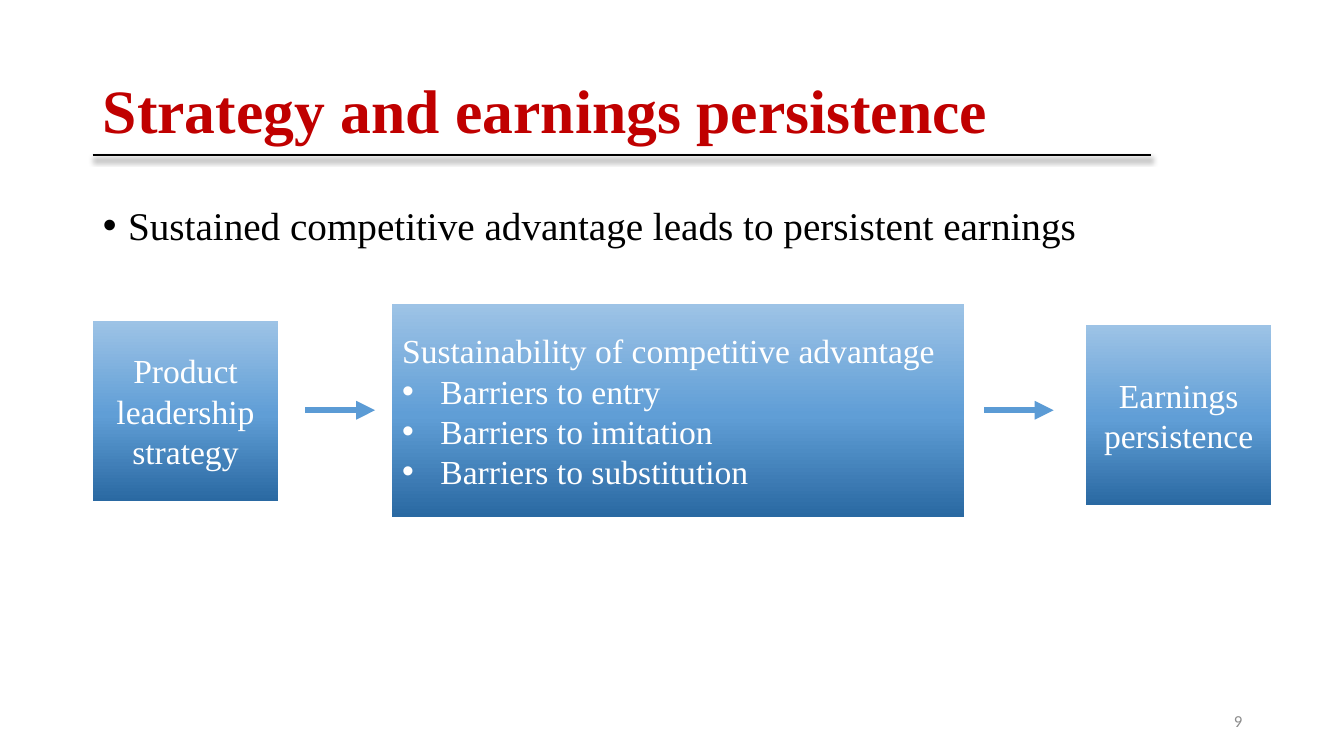
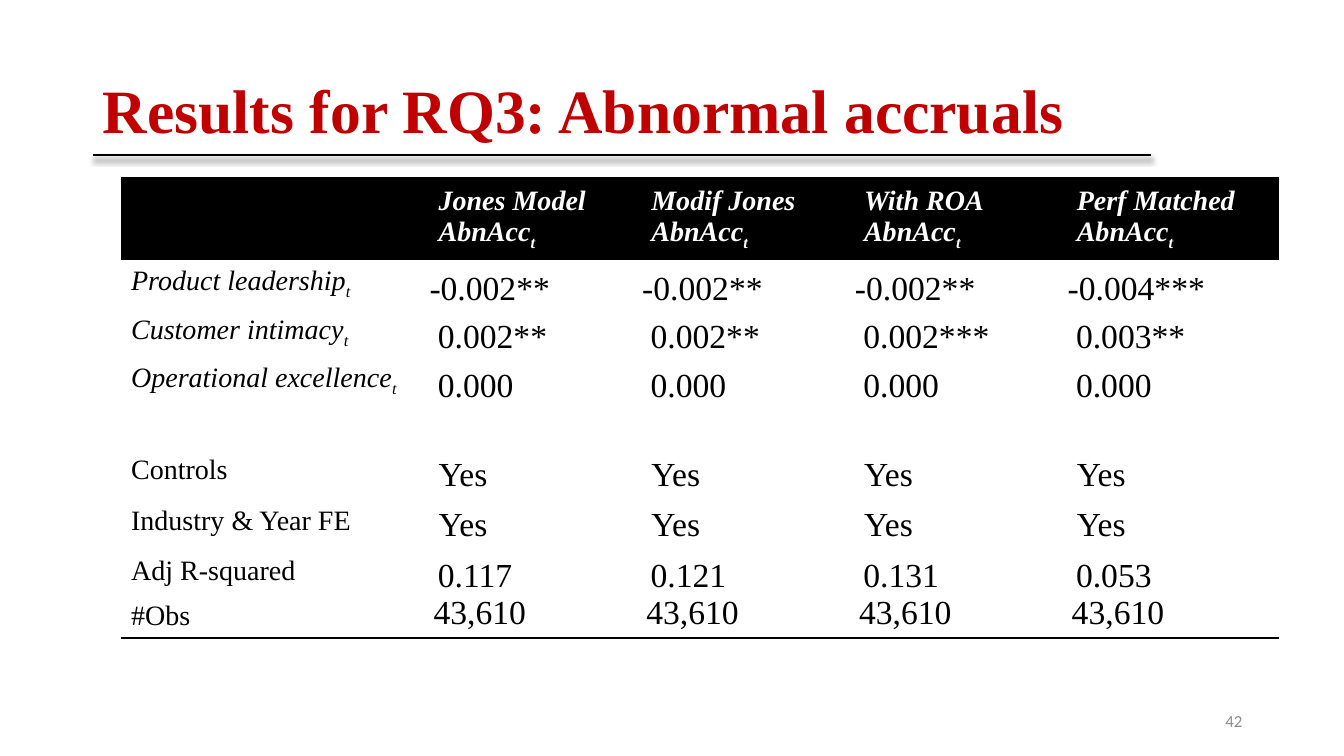
"""Build two slides on strategy and earnings persistence."""
from dataclasses import dataclass

from pptx import Presentation
from pptx.dml.color import RGBColor
from pptx.enum.dml import MSO_LINE
from pptx.enum.shapes import MSO_CONNECTOR, MSO_SHAPE
from pptx.enum.text import MSO_ANCHOR, MSO_AUTO_SIZE, PP_ALIGN
from pptx.oxml.ns import qn
from pptx.oxml.xmlchemy import OxmlElement
from pptx.util import Inches, Pt

BLACK = RGBColor(0x00, 0x00, 0x00)
WHITE = RGBColor(0xFF, 0xFF, 0xFF)
RED = RGBColor(0xC0, 0x00, 0x00)
GRAY = RGBColor(0x8C, 0x8C, 0x8C)
BLUE = RGBColor(0x5B, 0x9B, 0xD5)
STOPS = (
    (0, RGBColor(0x2A, 0x69, 0xA2)),
    (48, RGBColor(0x60, 0x9E, 0xD6)),
    (100, RGBColor(0x9D, 0xC3, 0xE6)),
)
SERIF = "Times New Roman"
SANS = "Calibri"
NO_GRID = "{2D5ABB26-0587-4C30-8999-92F81FD0307C}"

LEFT, MID, RIGHT = PP_ALIGN.LEFT, PP_ALIGN.CENTER, PP_ALIGN.RIGHT
TOP, CENTER, BASE = MSO_ANCHOR.TOP, MSO_ANCHOR.MIDDLE, MSO_ANCHOR.BOTTOM
SOLID = MSO_LINE.SOLID
NO_FIT = MSO_AUTO_SIZE.NONE
RECT = MSO_SHAPE.RECTANGLE
STRAIGHT = MSO_CONNECTOR.STRAIGHT

TITLE_LAY, BODY_LAY = 5, 1
EDGE = Inches(0.92)
WIDE = Inches(11.5)
FLOW_Y = Inches(4.07)
LABEL_W, DATA_W = Inches(3.05), Inches(2.11)
PAD = (0.1, 0.05, 0.1, 0.05)
THIN = (0.01, 0.01, 0.01, 0)
FLAT = (0.05, 0, 0.05, 0)


@dataclass(frozen=True)
class Face:
    """Look of a run of text."""
    size: float
    color: RGBColor = BLACK
    bold: bool = False
    slant: bool = False
    name: str = SERIF


@dataclass(frozen=True)
class Box:
    """Blue box: place, heading and bullet points."""
    left: float
    top: float
    width: float
    height: float
    head: str
    points: tuple[str, ...] = ()


@dataclass(frozen=True)
class Row:
    """Table row: height, label, values and their layout."""
    height: float
    label: str = ""
    values: tuple[str, ...] = ("",) * 4
    slant: bool = False
    side: MSO_ANCHOR = CENTER
    anchor: MSO_ANCHOR = CENTER
    pad: tuple[float, ...] = PAD


HEAD = Face(44, RED, bold=True)
BODY = Face(28)
BOXED = Face(24, WHITE)
PAGE = Face(12, GRAY, name=SANS)
TOP_ROW = Face(20, WHITE, bold=True, slant=True)
VALUE = Face(24)

BOXES = (
    Box(0.92, 3.18, 1.84, 1.79, "Product leadership strategy"),
    Box(3.89, 3.02, 5.67, 2.11, "Sustainability of competitive advantage",
        ("Barriers to entry", "Barriers to imitation", "Barriers to substitution")),
    Box(10.77, 3.22, 1.84, 1.79, "Earnings persistence"),
)
ARROWS = (3.03, 9.76)
ARROW_W = 0.69

ROWS = (
    Row(0.77, "", ("Jones Model\nAbnAcc_t", "Modif Jones AbnAcc_t",
                   "With ROA AbnAcc_t", "Perf Matched AbnAcc_t")),
    Row(0.46, "Product leadership_t", ("-0.002**", "-0.002**", "-0.002**", "-0.004***"),
        True, CENTER, BASE, THIN),
    Row(0.46, "Customer intimacy_t", (" 0.002**", " 0.002**", " 0.002***", " 0.003**"),
        True, CENTER, BASE, THIN),
    Row(0.46, "Operational excellence_t", (" 0.000",) * 4, True, CENTER, BASE, THIN),
    Row(0.45),
    Row(0.47, "Controls", ("Yes",) * 4, side=TOP),
    Row(0.47, "Industry & Year FE", ("Yes",) * 4, side=TOP),
    Row(0.41, "Adj R-squared", (" 0.117", " 0.121", " 0.131", " 0.053"),
        side=TOP, anchor=BASE, pad=THIN),
    Row(0.41, "#Obs", ("43,610",) * 4, anchor=TOP, pad=FLAT),
)


def add_node(parent, tag: str, **attrs: object):
    """Append an XML child with attributes."""
    node = OxmlElement(tag)
    for key, val in attrs.items():
        node.set(key, str(val))
    parent.append(node)
    return node


def add_run(para, text: str, face: Face):
    """Append one formatted run."""
    run = para.add_run()
    run.text = text
    font = run.font
    font.name, font.size, font.bold, font.italic = face.name, Pt(face.size), face.bold, face.slant
    font.color.rgb = face.color
    return run


def add_bullet(para, indent: float) -> None:
    """Give a paragraph a hanging bullet."""
    props = para._p.get_or_add_pPr()
    props.set("marL", str(Inches(indent)))
    props.set("indent", str(-Inches(indent)))
    add_node(props, "a:buFont", typeface="Arial")
    add_node(props, "a:buChar", char="•")


def add_line(slide, left: int, right: int, top: int, color: RGBColor, width: float):
    """Draw a level line and return it with its effect list."""
    line = slide.shapes.add_connector(STRAIGHT, left, top, right, top)
    line.line.color.rgb = color
    line.line.width = Pt(width)
    return line, add_node(line._element.spPr, "a:effectLst")


def set_holder(shape, top: float, height: float, anchor: MSO_ANCHOR):
    """Place a text placeholder and return its first paragraph."""
    shape.left, shape.top, shape.width, shape.height = EDGE, Inches(top), WIDE, Inches(height)
    frame = shape.text_frame
    frame.word_wrap, frame.auto_size, frame.vertical_anchor = True, NO_FIT, anchor
    para = frame.paragraphs[0]
    para.alignment, para.line_spacing = LEFT, 0.9
    return para


def add_slide(deck, layout: int, title: str, page: str):
    """Add a slide with title, rule and page number."""
    slide = deck.slides.add_slide(deck.slide_layouts[layout])
    add_run(set_holder(slide.shapes.title, 0.4, 1.45, CENTER), title, HEAD)
    rule, effects = add_line(slide, EDGE, Inches(11.42), Inches(1.54), BLACK, 1.5)
    shade = add_node(effects, "a:outerShdw", blurRad=Pt(4), dist=Pt(3), dir=5400000, rotWithShape=0)
    add_node(add_node(shade, "a:srgbClr", val=BLACK), "a:alpha", val=40000)
    frame = slide.shapes.add_textbox(Inches(9.42), Inches(6.95), Inches(3), Inches(0.4)).text_frame
    frame.word_wrap, frame.vertical_anchor = True, CENTER
    frame.paragraphs[0].alignment = RIGHT
    add_run(frame.paragraphs[0], page, PAGE)
    return slide


def add_box(slide, box: Box) -> None:
    """Draw a box with a blue gradient."""
    shape = slide.shapes.add_shape(
        RECT, Inches(box.left), Inches(box.top), Inches(box.width), Inches(box.height))
    shape.shadow.inherit = False
    shape.line.fill.background()
    shape.fill.gradient()
    shape.fill.gradient_angle = 90
    stops = shape._element.spPr.find(".//" + qn("a:gsLst"))
    stops.clear()
    for pos, color in STOPS:
        add_node(add_node(stops, "a:gs", pos=pos * 1000), "a:srgbClr", val=color)
    frame = shape.text_frame
    frame.word_wrap, frame.vertical_anchor = True, CENTER
    para = frame.paragraphs[0]
    para.alignment = LEFT if box.points else MID
    add_run(para, box.head, BOXED)
    for point in box.points:
        para = frame.add_paragraph()
        para.alignment = LEFT
        add_bullet(para, 0.38)
        add_run(para, point, BOXED)


def add_arrow(slide, left: float) -> None:
    """Draw an arrow to the right."""
    arrow, _ = add_line(slide, Inches(left), Inches(left + ARROW_W), FLOW_Y, BLUE, 4.5)
    add_node(arrow._element.spPr.find(qn("a:ln")), "a:tailEnd", type="triangle")


def add_edge(cell, tag: str) -> None:
    """Draw one black edge of a cell."""
    edge = add_node(cell._tc.get_or_add_tcPr(), tag, w=Pt(1))
    add_node(add_node(edge, "a:solidFill"), "a:srgbClr", val=BLACK)
    add_node(edge, "a:prstDash", val=SOLID.xml_value if hasattr(SOLID, "xml_value") else "solid")


def fill_cell(cell, text: str, face: Face, anchor: MSO_ANCHOR, pad: tuple[float, ...]) -> None:
    """Write cell text, with any part after an underscore lowered."""
    cell.vertical_anchor = anchor
    cell.margin_left, cell.margin_top, cell.margin_right, cell.margin_bottom = map(Inches, pad)
    frame = cell.text_frame
    for num, line in enumerate(text.split("\n")):
        para = frame.add_paragraph() if num else frame.paragraphs[0]
        main, _, sub = line.partition("_")
        if main:
            add_run(para, main, face)
        if sub:
            add_run(para, sub, face)._r.get_or_add_rPr().set("baseline", "-25000")


def add_grid(slide, rows: tuple[Row, ...]) -> None:
    """Draw the table of results."""
    count = len(rows[0].values)
    table = slide.shapes.add_table(
        len(rows), count + 1, Inches(1.2), Inches(1.76), LABEL_W + count * DATA_W,
        Inches(sum(row.height for row in rows))).table
    table.first_row = table.horz_banding = False
    table._tbl.tblPr.find(qn("a:tableStyleId")).text = NO_GRID
    for col, column in enumerate(table.columns):
        column.width = DATA_W if col else LABEL_W
    for num, row in enumerate(rows):
        table.rows[num].height = Inches(row.height)
        first, last = num == 0, num == len(rows) - 1
        for col, text in enumerate((row.label, *row.values)):
            cell = table.cell(num, col)
            if first:
                add_edge(cell, "a:lnT")
            if first or last:
                add_edge(cell, "a:lnB")
            if first:
                cell.fill.solid()
                cell.fill.fore_color.rgb = BLACK
            else:
                cell.fill.background()
            face = TOP_ROW if first else VALUE if col else Face(20, slant=row.slant)
            fill_cell(cell, text, face, row.anchor if col else row.side, row.pad if col else PAD)


def draw_flow(deck) -> None:
    """Build the slide with the flow of boxes."""
    slide = add_slide(deck, BODY_LAY, "Strategy and earnings persistence", "9")
    para = set_holder(slide.placeholders[1], 2, 4.76, TOP)
    para.space_before = Pt(10)
    add_bullet(para, 0.25)
    add_run(para, "Sustained competitive advantage leads to persistent earnings", BODY)
    for box in BOXES:
        add_box(slide, box)
    for left in ARROWS:
        add_arrow(slide, left)


def main() -> None:
    """Build and save the deck."""
    deck = Presentation()
    deck.slide_width, deck.slide_height = Inches(13.33), Inches(7.5)
    draw_flow(deck)
    add_grid(add_slide(deck, TITLE_LAY, "Results for RQ3: Abnormal accruals", "42"), ROWS)
    deck.save("out.pptx")


if __name__ == "__main__":
    main()
